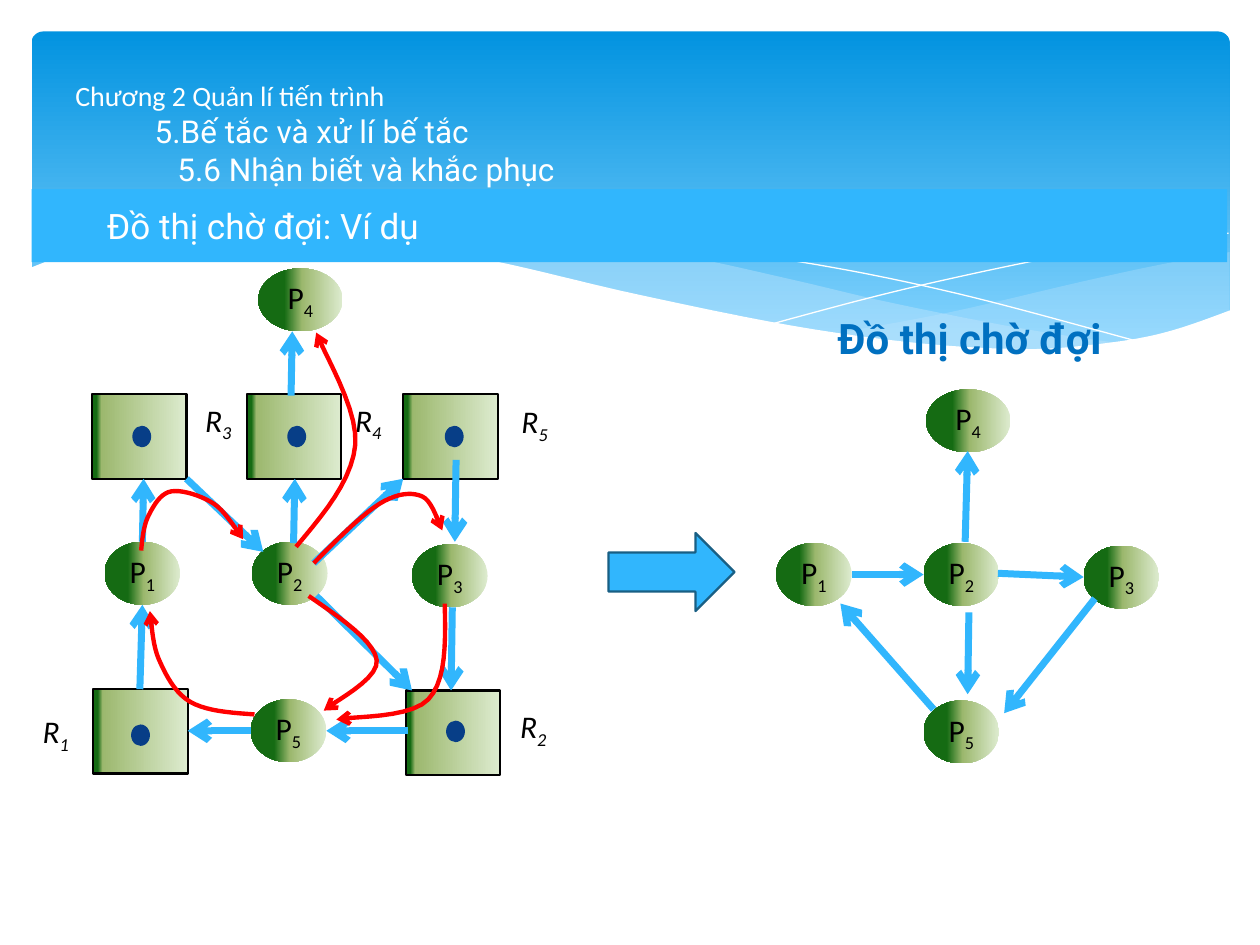
from dataclasses import dataclass

from lxml.etree import SubElement
from pptx import Presentation
from pptx.dml.color import RGBColor
from pptx.enum.shapes import MSO_CONNECTOR, MSO_SHAPE as Preset
from pptx.enum.text import MSO_ANCHOR as Anchor, PP_ALIGN as Align
from pptx.oxml.ns import qn
from pptx.util import Inches, Pt


@dataclass(frozen=True)
class Theme:
    body: str = "Calibri"
    heading: str = "Roboto"
    white: str = "FFFFFF"
    black: str = "000000"
    sky: str = "31B6FD"
    navy: str = "073E87"
    wave: str = "C6E7FC"
    outline: str = "195F84"
    caption: str = "0070C0"
    wait: str = "FF0000"
    banner: tuple = ((0, "0293E0"), (90, "83D3FE"))
    process: tuple = ((0, "DDEBCF"), (48, "9CB86E"), (69, "156B13"))
    resource: tuple = ((0, "DDEBCF"), (90, "9CB86E"), (95, "156B13"))
    small: int = 16
    normal: int = 18
    band: int = 20
    large: int = 24


THEME = Theme()
WIDTH, HEIGHT = 10, 7.5
SQUARE, DOT, OVAL, WIDE_OVAL = (0.75, 0.67), (0.15, 0.17), (0.6, 0.5), (0.67, 0.5)

TITLE = [  # text, font, size, indent
    ("Chương 2 Quản lí tiến trình", THEME.body, THEME.small, 0),
    ("5.Bế tắc và xử lí bế tắc", THEME.heading, THEME.normal, 0.63),
    ("5.6 Nhận biết và khắc phục", THEME.heading, THEME.normal, 0.81),
]
BAND = "Đồ thị chờ đợi: Ví dụ"
CAPTION = "Đồ thị chờ đợi"

RESOURCES = [  # name, square corner, dot offset, label corner
    ("R_1", (0.74, 5.47), (0.3, 0.28), (0.24, 5.6)),
    ("R_2", (3.22, 5.48), (0.32, 0.24), (4.03, 5.56)),
    ("R_3", (0.73, 3.13), (0.32, 0.25), (1.53, 3.13)),
    ("R_4", (1.96, 3.13), (0.32, 0.25), (2.72, 3.13)),
    ("R_5", (3.2, 3.13), (0.33, 0.25), (4.04, 3.14)),
]
PROCESSES = [  # name, corner, size: allocation graph, then wait-for graph
    ("P_1", (0.83, 4.3), OVAL), ("P_2", (2, 4.3), OVAL), ("P_3", (3.27, 4.32), OVAL),
    ("P_4", (2.05, 2.13), WIDE_OVAL), ("P_5", (1.99, 5.55), OVAL),
    ("P_1", (6.16, 4.31), OVAL), ("P_2", (7.33, 4.31), OVAL), ("P_3", (8.6, 4.33), OVAL),
    ("P_4", (7.35, 3.09), WIDE_OVAL), ("P_5", (7.33, 5.56), OVAL),
]
ARROWS = [  # start, tip
    ((3.59, 4.82), (3.58, 5.48)), ((1.99, 5.8), (1.49, 5.8)),
    ((3.24, 5.8), (2.59, 5.8)), ((2.51, 4.73), (3.27, 5.48)),
    ((1.11, 5.47), (1.13, 4.8)), ((1.13, 4.3), (1.14, 3.8)),
    ((1.48, 3.8), (2.09, 4.38)), ((2.33, 4.31), (2.34, 3.8)),
    ((2.49, 4.47), (3.2, 3.8)), ((3.62, 3.65), (3.61, 4.3)),
    ((2.31, 3.14), (2.32, 2.63)),
    ((7.69, 4.86), (7.68, 5.51)), ((7.66, 4.3), (7.68, 3.58)),
    ((7.41, 5.63), (6.67, 4.79)), ((6.76, 4.56), (7.33, 4.56)),
    ((7.92, 4.55), (8.6, 4.58)), ((8.69, 4.75), (7.97, 5.66)),
]
WAITS = [  # points on each curved arrow
    [(2.35, 4.34), (2.82, 3.53), (2.51, 2.64)],
    [(2.49, 4.47), (3.01, 4), (3.35, 3.94), (3.51, 4.21)],
    [(3.53, 4.79), (3.4, 5.55), (2.67, 5.71)],
    [(2.45, 4.73), (2.99, 5.24), (2.57, 5.64)],
    [(2.02, 5.67), (1.51, 5.57), (1.26, 5.23), (1.19, 4.85)],
    [(1.12, 4.37), (1.18, 4.09), (1.36, 3.9), (1.7, 4), (1.93, 4.28)],
]
WAVES = [  # upper edge, lower edge, opacity
    ([(9.76, 2), (9.21, 2.1), (8.61, 2.23), (7.53, 2.48), (6.61, 2.65)],
     [(6.61, 2.65), (7.18, 2.73), (8.03, 2.78), (8.81, 2.73), (9.35, 2.62), (9.76, 2.47)], 29),
    ([(8.93, 2.73), (8.07, 2.6), (7.06, 2.4), (6.29, 2.22), (5.41, 2.03), (4.41, 1.89),
      (3.61, 1.86), (2.86, 1.91)],
     [(2.86, 1.91), (3.62, 2.03), (4.49, 2.22), (5.66, 2.48), (6.65, 2.66), (7.48, 2.76),
      (8.18, 2.79), (8.93, 2.73)], 40),
]
STRANDS = [
    [(3.09, 1.95), (4.01, 1.87), (5.1, 1.92), (6.36, 2.08), (7.6, 2.33), (9.07, 2.72)],
    [(6.13, 2.57), (7.2, 2.29), (8.36, 2.04), (9.1, 1.92), (9.75, 1.85)],
]
SHORE = [(9.77, 2.46), (9.2, 2.65), (8.63, 2.74), (8.09, 2.77), (7.26, 2.72), (6.26, 2.58),
         (5.03, 2.33), (3.91, 2.07), (2.92, 1.91), (1.93, 1.84), (1.19, 1.87),
         (0.67, 1.97), (0.23, 2.13)]

deck = Presentation()
deck.slide_width, deck.slide_height = Inches(WIDTH), Inches(HEIGHT)
page = deck.slides.add_slide(deck.slide_layouts[6])


def inches(*lengths):
    return [Inches(length) for length in lengths]


def paint(shape, fill=None, line=None, width=1.25, angle=180, opacity=None):
    """Fill with a colour or a tuple of gradient stops, and outline."""
    shape.shadow.inherit = False
    if isinstance(fill, tuple):
        shape.fill.gradient()
        grad = shape.fill._xPr.find(qn("a:gradFill"))
        for child in list(grad):
            grad.remove(child)
        stops = SubElement(grad, qn("a:gsLst"))
        for position, color in fill:
            stop = SubElement(stops, qn("a:gs"), pos=str(position * 1000))
            SubElement(stop, qn("a:srgbClr"), val=color)
        SubElement(grad, qn("a:lin"), ang=str(angle * 60000), scaled="0")
    elif fill:
        shape.fill.solid()
        shape.fill.fore_color.rgb = RGBColor.from_string(fill)
        if opacity:
            color = next(shape.fill._xPr.iter(qn("a:srgbClr")))
            SubElement(color, qn("a:alpha"), val=str(opacity * 1000))
    else:
        shape.fill.background()
    stroke(shape, line, width)
    return shape


def stroke(shape, color, width, tip=False):
    if not color:
        shape.line.fill.background()
        return
    shape.line.color.rgb = RGBColor.from_string(color)
    shape.line.width = Pt(width)
    if tip:
        SubElement(shape.line._get_or_add_ln(), qn("a:tailEnd"), type="arrow")


def add_preset(preset, corner, size, **look):
    return paint(page.shapes.add_shape(preset, *inches(*corner, *size)), **look)


def write(shape, text, font=THEME.body, size=THEME.normal, color=THEME.black, bold=False,
          italic=False, align=Align.LEFT, anchor=Anchor.MIDDLE, indent=0, wrap=True, more=False):
    """Put one paragraph in a shape; what follows "_" is a subscript."""
    frame = shape.text_frame
    frame.word_wrap, frame.vertical_anchor = wrap, anchor
    para = frame.add_paragraph() if more else frame.paragraphs[0]
    para.alignment = align
    if indent:
        para._p.get_or_add_pPr().set("marL", str(Inches(indent)))
    for order, piece in enumerate(text.split("_")):
        span = para.add_run()
        span.text = piece
        span.font.name, span.font.size = font, Pt(size)
        span.font.bold, span.font.italic = bold, italic
        span.font.color.rgb = RGBColor.from_string(color)
        if order:
            span.font._element.set("baseline", "-25000")


def smooth(points, steps=10):
    """Sample a smooth curve of cubic pieces that passes through the points."""
    ends = [points[0], *points, points[-1]]
    curve = [points[0]]
    for before, start, end, after in zip(ends, ends[1:], ends[2:], ends[3:]):
        enter = [e - (a - s) / 6 for s, e, a in zip(start, end, after)]
        if before == start:
            leave = [(s + c) / 2 for s, c in zip(start, enter)]
        else:
            leave = [s + (e - b) / 6 for b, s, e in zip(before, start, end)]
        for step in range(1, steps + 1):
            t = step / steps
            u = 1 - t
            curve.append(tuple(u**3 * s + 3 * u * u * t * p + 3 * u * t * t * q + t**3 * e
                               for s, p, q, e in zip(start, leave, enter, end)))
    return curve


def add_outline(points, closed=False, **look):
    dots = [inches(*point) for point in points]
    builder = page.shapes.build_freeform(*dots[0])
    builder.add_line_segments(dots[1:], close=closed)
    return paint(builder.convert_to_shape(), **look)


banner = add_preset(Preset.ROUNDED_RECTANGLE, (0.25, 0.25), (9.51, 2.7), fill=THEME.banner, angle=90)
banner.adjustments[0] = 0.034
for upper, lower, opacity in WAVES:
    add_outline(smooth(upper) + smooth(lower)[1:], closed=True, fill=THEME.wave, opacity=opacity)
for strand in STRANDS:
    add_outline(smooth(strand), line=THEME.white, width=0)
add_outline(smooth(SHORE) + [(0.23, 3.29), (9.77, 3.29)], closed=True, fill=THEME.white)

title = page.shapes.add_textbox(*inches(0.5, 0.37, 9, 1.37))
for row, (text, font, size, indent) in enumerate(TITLE):
    write(title, text, font=font, size=size, color=THEME.white, indent=indent, more=row > 0)
band = add_preset(Preset.RECTANGLE, (0.25, 1.5), (9.49, 0.58), fill=THEME.sky)
write(band, BAND, font=THEME.heading, size=THEME.band, color=THEME.white, indent=0.5)

for name, corner, offset, label_corner in RESOURCES:
    add_preset(Preset.RECTANGLE, corner, SQUARE, fill=THEME.resource, line=THEME.black)
    dot_corner = [start + shift for start, shift in zip(corner, offset)]
    add_preset(Preset.OVAL, dot_corner, DOT, fill=THEME.navy)
    label = page.shapes.add_textbox(*inches(*label_corner, 0.5, 0.4))
    write(label, name, italic=True, anchor=Anchor.TOP)
for name, corner, size in PROCESSES:
    oval = add_preset(Preset.OVAL, corner, size, fill=THEME.process)
    write(oval, name, align=Align.CENTER, wrap=False)
for start, tip in ARROWS:
    arrow = page.shapes.add_connector(MSO_CONNECTOR.STRAIGHT, *inches(*start, *tip))
    stroke(arrow, THEME.sky, 4, tip=True)
    SubElement(arrow._element.spPr, qn("a:effectLst"))
for points in WAITS:
    stroke(add_outline(smooth(points)), THEME.wait, 2.5, tip=True)

caption = page.shapes.add_textbox(*inches(6.55, 2.43, 2.55, 0.5))
write(caption, CAPTION, font=THEME.heading, size=THEME.large, color=THEME.caption, bold=True,
      anchor=Anchor.TOP, wrap=False)
add_preset(Preset.RIGHT_ARROW, (4.83, 4.23), (1, 0.62), fill=THEME.sky, line=THEME.outline)

deck.save("out.pptx")
